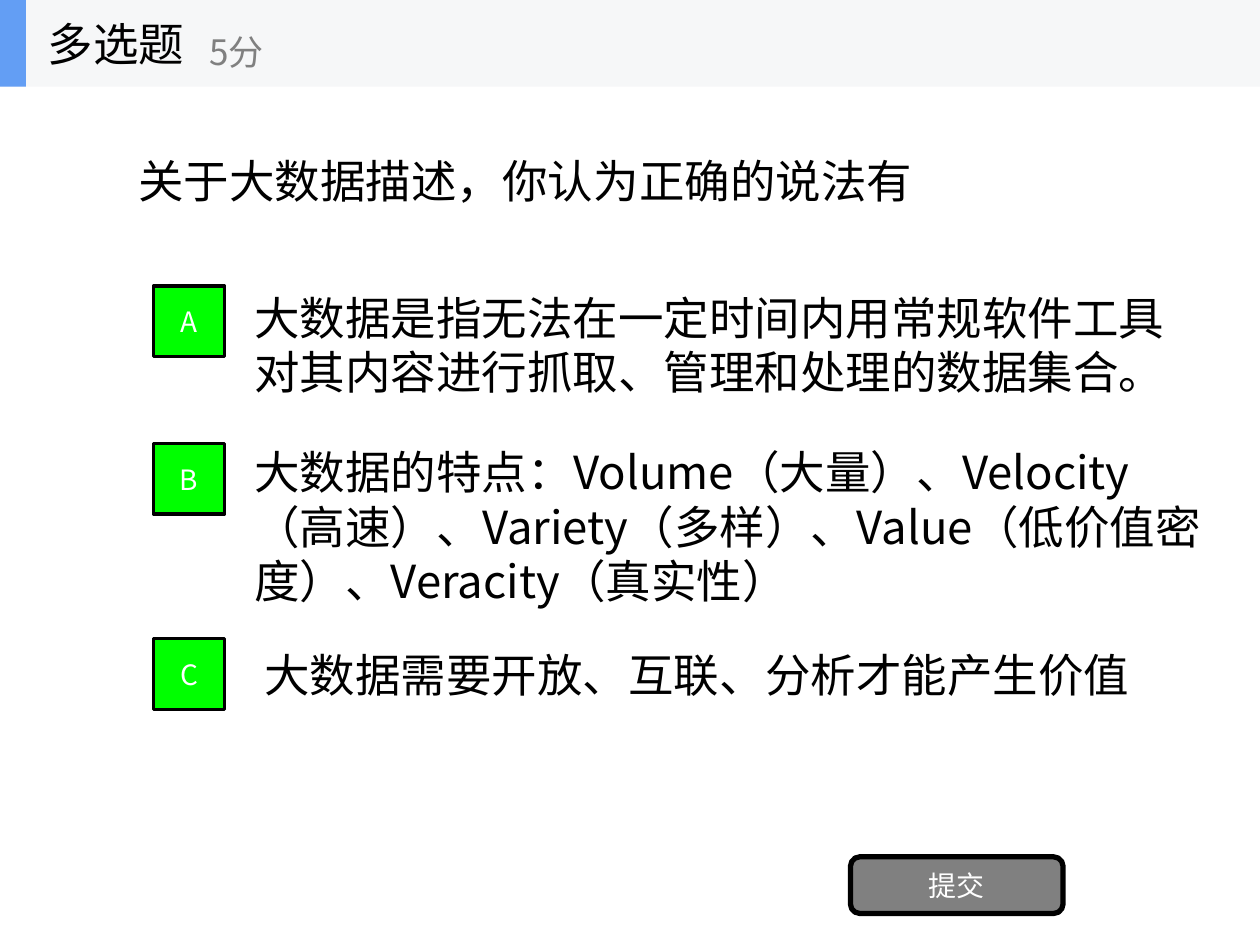
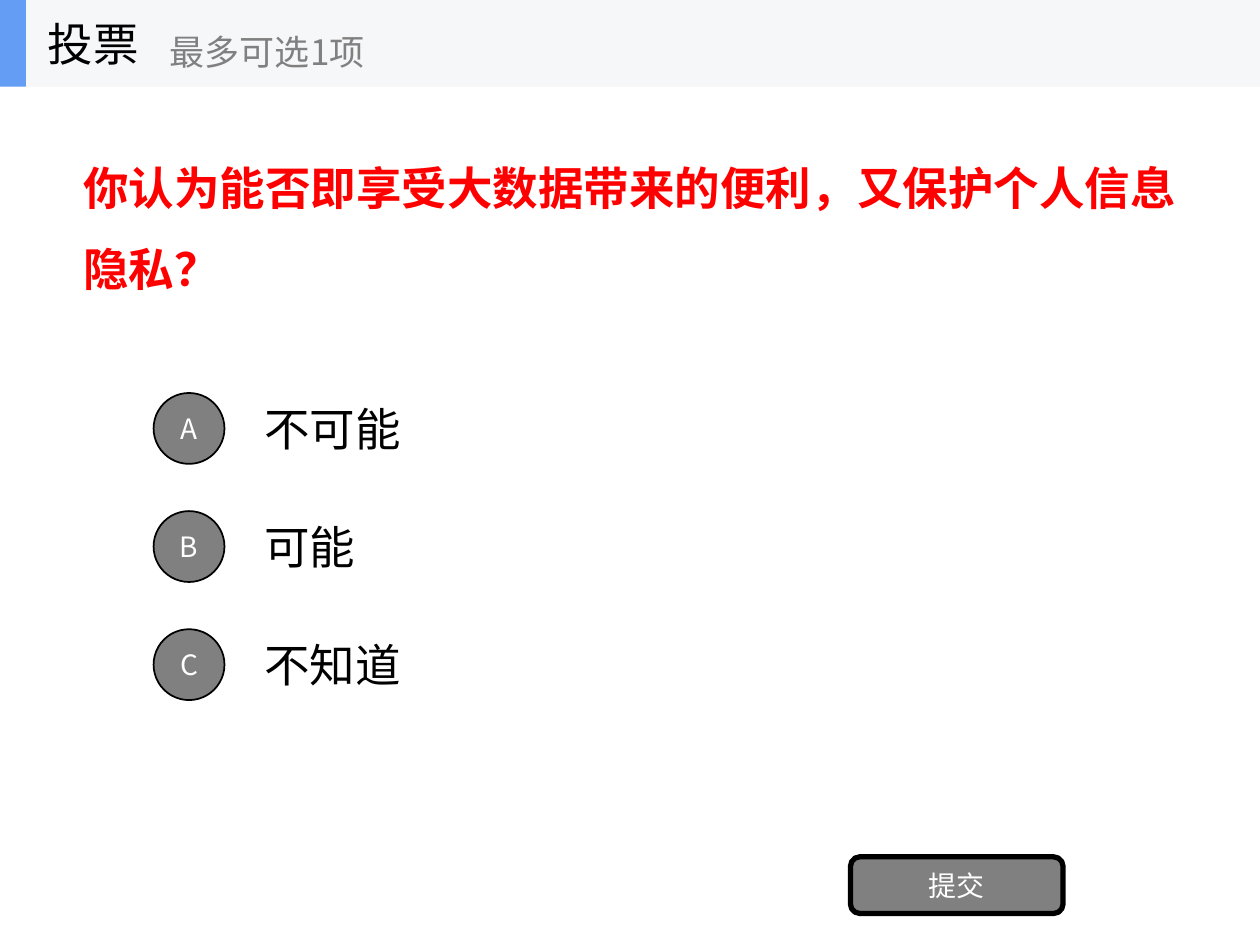
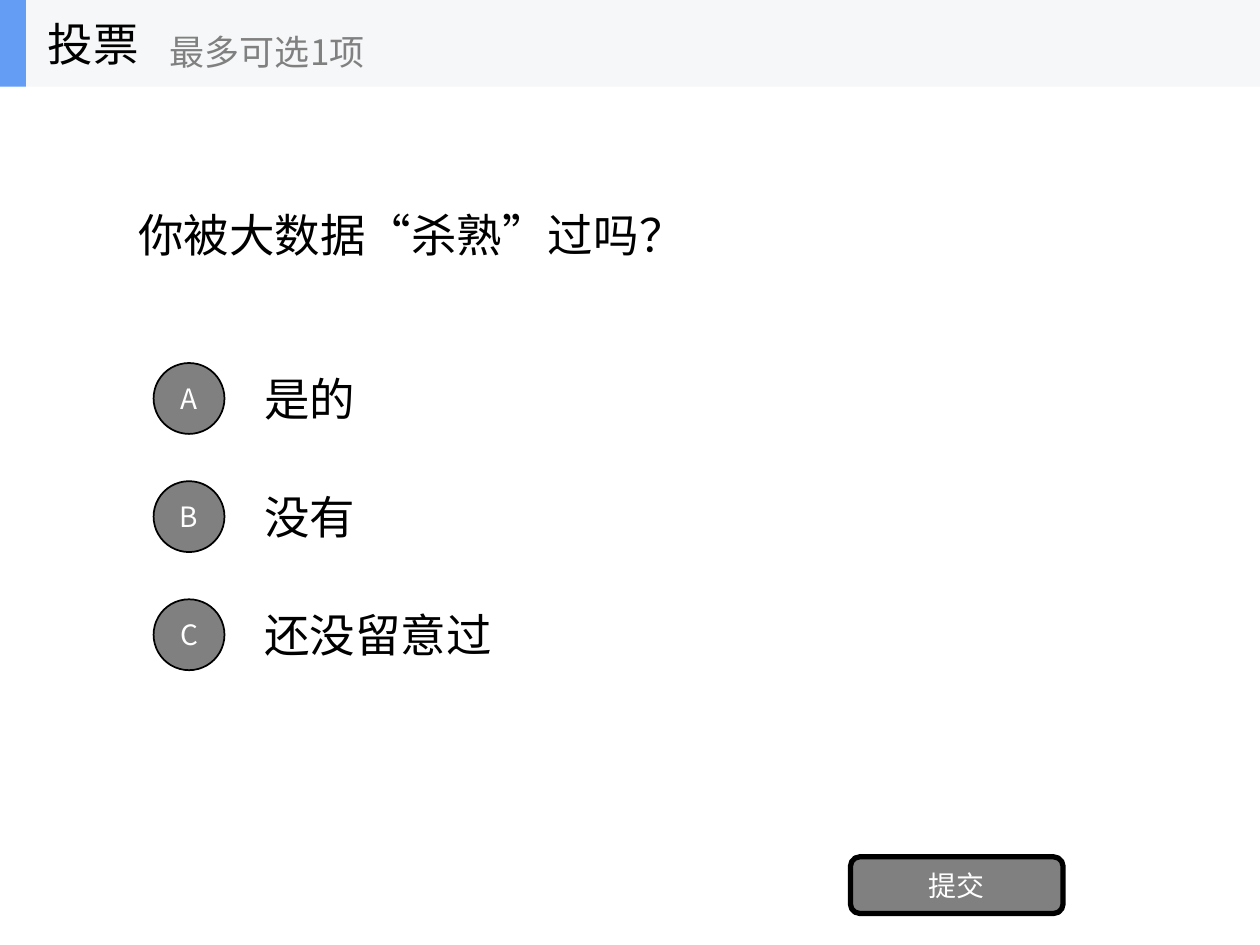
"""Builds three classroom quiz slides: one multiple choice question and two polls."""
from dataclasses import dataclass

from lxml import etree
from pptx import Presentation
from pptx import util as u
from pptx.dml.color import RGBColor
from pptx.enum import shapes, text
from pptx.oxml.ns import qn


@dataclass(frozen=True)
class Theme:
    """Colours, type sizes and the grid shared by all slides."""
    ink: str = "000000"
    muted: str = "808080"
    paper: str = "FFFFFF"
    band: str = "F6F7F8"
    accent: str = "639EF4"
    correct: str = "00FF00"
    alert: str = "FF0000"
    font: str = "Noto Sans CJK SC"
    alert_font: str = "Calibri"
    body: int = 26
    hint: int = 20
    label: int = 16
    columns: int = 80
    rows: int = 60
    width: float = 10
    height: float = 7.5
    badge: float = 4.5
    badge_left: float = 9.75
    badge_drop: float = 0.55
    option_left: float = 16
    option_height: float = 5.6
    option_step: float = 7.5


THEME = Theme()
SHAPE = shapes.MSO_SHAPE


def place(left, top, width, height):
    """Turn grid columns and rows into slide lengths."""
    column, row = THEME.width / THEME.columns, THEME.height / THEME.rows
    return [u.Inches(n) for n in (left * column, top * row, width * column, height * row)]


def apply(target, values):
    """Set each attribute named in a dict of format values."""
    for name, value in values.items():
        setattr(target, name, value)


def write(shape, words, size, colour, font=THEME.font, bold=False,
          align=text.PP_ALIGN.LEFT, wrap=True, spacing=None):
    """Fill a shape with one formatted paragraph."""
    frame = shape.text_frame
    apply(frame, {"word_wrap": wrap, "vertical_anchor": text.MSO_ANCHOR.MIDDLE})
    para = frame.paragraphs[0]
    apply(para, {"alignment": align, "line_spacing": spacing})
    span = para.add_run()
    span.text = words
    apply(span.font, {"name": font, "size": u.Pt(size), "bold": bold})
    span.font.color.rgb = RGBColor.from_string(colour)
    etree.SubElement(span.font._element, qn("a:ea"), typeface=THEME.font)


def add_text(parent, area, words, size=THEME.body, colour=THEME.ink, **style):
    """Add a text box on the grid."""
    write(parent.shapes.add_textbox(*place(*area)), words, size, colour, **style)


def add_block(parent, kind, area, fill, line=0, words=None):
    """Add a filled preset shape, outlined and labelled on request."""
    block = parent.shapes.add_shape(kind, *place(*area))
    block.shadow.inherit = False
    block.fill.solid()
    block.fill.fore_color.rgb = RGBColor.from_string(fill)
    if line:
        block.line.color.rgb = RGBColor.from_string(THEME.ink)
        block.line.width = u.Pt(line)
    else:
        block.line.fill.background()
    if words:
        write(block, words, THEME.label, THEME.paper, align=text.PP_ALIGN.CENTER)


def add_header(page, title, hint, hint_left):
    """Add the grouped title band with its hint."""
    group = page.shapes.add_group_shape()
    add_block(group, SHAPE.RECTANGLE, (0, 0, THEME.columns, 5.5), THEME.band)
    add_block(group, SHAPE.RECTANGLE, (0, 0, 1.65, 5.5), THEME.accent)
    add_text(group, (2.25, 0, 16.65, 5.5), title, wrap=False)
    add_text(group, (hint_left, 1, 20, 4.5), hint, THEME.hint, THEME.muted, wrap=False)


def add_badges(page, tops, kind, fill, line):
    """Add one lettered badge for each option."""
    for letter, top in zip("ABC", tops):
        area = (THEME.badge_left, top, THEME.badge, THEME.badge)
        add_block(page, kind, area, fill, line, letter)


def add_page(deck):
    """Add a blank page with the paper colour."""
    page = deck.slides.add_slide(deck.slide_layouts[6])
    page.background.fill.solid()
    page.background.fill.fore_color.rgb = RGBColor.from_string(THEME.paper)
    return page


def finish(page, title, hint, hint_left):
    """Add the submit button and the header."""
    add_block(page, SHAPE.ROUNDED_RECTANGLE, (54, 54.4, 13.5, 3.6), THEME.muted, 3, "提交")
    add_header(page, title, hint, hint_left)


def add_quiz(deck, question, options, badge_tops):
    """Add a multiple choice page with its right answers marked."""
    page = add_page(deck)
    add_text(page, (8, 6.9, 64, 9.1), question)
    for area, words in options:
        add_text(page, area, words)
    add_badges(page, badge_tops, SHAPE.RECTANGLE, THEME.correct, 2)
    finish(page, "多选题", "5分", 12.5)


def add_poll(deck, question, area, options, first_row, **style):
    """Add a poll page with evenly spaced options."""
    page = add_page(deck)
    add_text(page, area, question, **style)
    tops = [first_row + i * THEME.option_step for i in range(len(options))]
    for top, words in zip(tops, options):
        add_text(page, (THEME.option_left, top, 56, THEME.option_height), words)
    add_badges(page, [top + THEME.badge_drop for top in tops], SHAPE.OVAL, THEME.muted, 1)
    finish(page, "投票", "最多可选1项", 10)


def main():
    """Build and save the deck."""
    deck = Presentation()
    apply(deck, {"slide_width": u.Inches(THEME.width), "slide_height": u.Inches(THEME.height)})
    add_quiz(deck, "关于大数据描述，你认为正确的说法有", [
        ((15.35, 17.5, 61.5, 8.75),
         "大数据是指无法在一定时间内用常规软件工具对其内容进行抓取、管理和处理的数据集合。"),
        ((15.35, 26.25, 62.9, 14.3),
         "大数据的特点：Volume（大量）、Velocity（高速）、Variety（多样）、"
         "Value（低价值密度）、Veracity（真实性）"),
        ((THEME.option_left, 40, 59.1, THEME.option_height),
         "大数据需要开放、互联、分析才能产生价值"),
    ], (18.15, 28.15, 40.55))
    add_poll(deck, "你认为能否即享受大数据带来的便利，又保护个人信息隐私？",
             (4.5, 6, 71.4, 15.2), ("不可能", "可能", "不知道"), 24.4,
             colour=THEME.alert, font=THEME.alert_font, bold=True, spacing=1.5)
    add_poll(deck, "你被大数据“杀熟”过吗？", (8, 5.5, 64, 18.7),
             ("是的", "没有", "还没留意过"), 22.5)
    deck.save("out.pptx")


if __name__ == "__main__":
    main()
